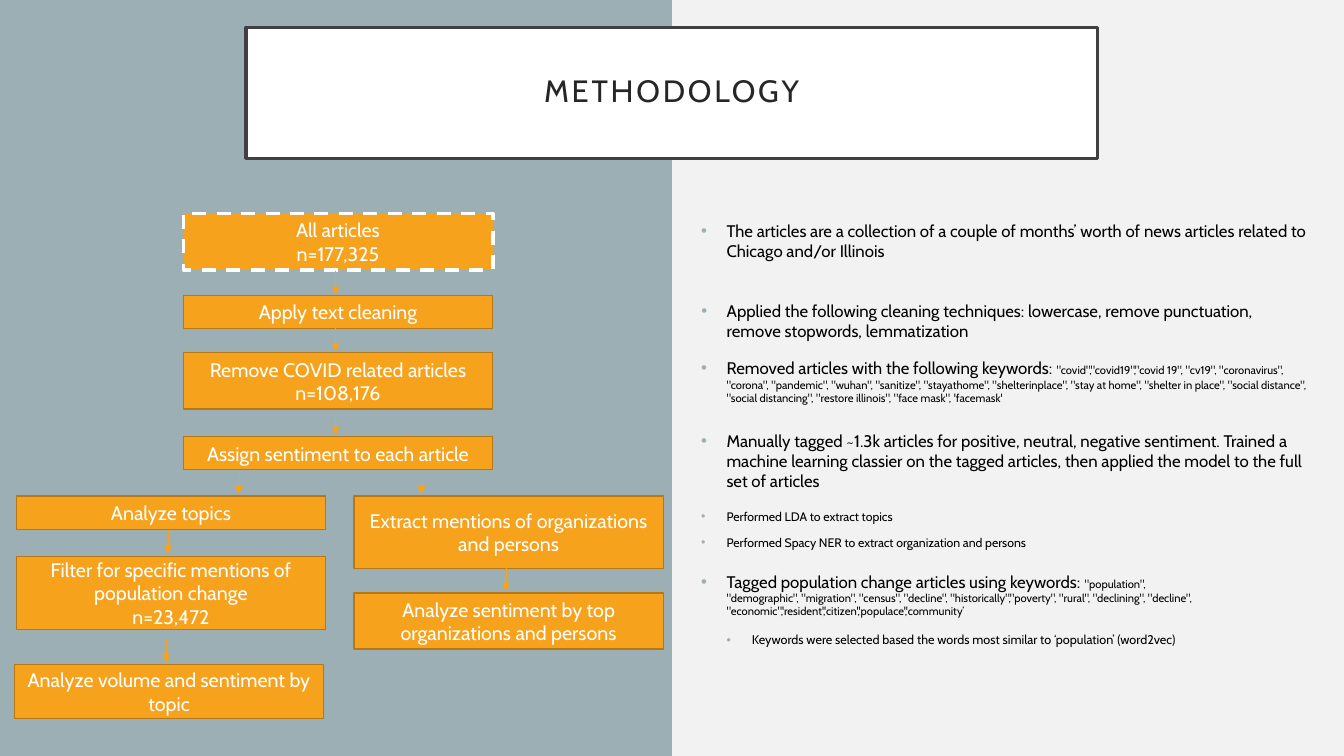
"""Build the methodology slide: a flowchart of the article analysis beside its notes."""
from lxml import etree
from pptx import Presentation
from pptx.dml.color import RGBColor
from pptx.enum.dml import MSO_LINE
from pptx.enum.shapes import MSO_CONNECTOR, MSO_SHAPE
from pptx.enum.text import MSO_ANCHOR, MSO_AUTO_SIZE, PP_ALIGN
from pptx.oxml.ns import qn
from pptx.util import Cm, Pt

RECTANGLE = MSO_SHAPE.RECTANGLE
STRAIGHT = MSO_CONNECTOR.STRAIGHT
DASH = MSO_LINE.DASH
MIDDLE, TOP = MSO_ANCHOR.MIDDLE, MSO_ANCHOR.TOP
NO_AUTOFIT = MSO_AUTO_SIZE.NONE
CENTER, LEFT = PP_ALIGN.CENTER, PP_ALIGN.LEFT

SLIDE_WIDTH, SLIDE_HEIGHT = 33.87, 19.05
STEP_WIDTH = 7.8
ARROW_LENGTH = 0.6
NOTES_LEFT = 17.42
BULLET_INDENT = 0.64
WIDE, NARROW = 15.82, 13.39
MAIN, TOPICS, ENTITIES = 4.62, 0.41, 8.92

STEPS = [
    (MAIN, 5.38, 1.42, ["All articles", "n=177,325"]),
    (MAIN, 7.44, 0.84, ["Apply text cleaning"]),
    (MAIN, 8.89, 1.42, ["Remove COVID related articles", "n=108,176"]),
    (MAIN, 11, 0.84, ["Assign sentiment to each article"]),
    (TOPICS, 12.5, 0.84, ["Analyze topics"]),
    (ENTITIES, 12.5, 1.83, ["Extract mentions of organizations and persons"]),
    (TOPICS, 14.02, 1.85, ["Filter for specific mentions of population change", "n=23,472"]),
    (ENTITIES, 14.94, 1.42, ["Analyze sentiment by top organizations and persons"]),
    (0.36, 16.74, 1.37, ["Analyze volume and sentiment by topic"]),
]

ARROWS = [
    (8.46, 6.83), (8.46, 8.25), (8.46, 10.36), (6.02, 11.86),
    (10.62, 11.86), (4.24, 13.36), (12.75, 14.3), (4.19, 16.1),
]

CLEANING = [(0, [("Applied the following cleaning techniques: lowercase, remove punctuation, "
                  "remove stopwords, lemmatization", 12)])]

COVID_KEYWORDS = (
    '"covid","covid19","covid 19", "cv19", "coronavirus", "corona", "pandemic", "wuhan", '
    '"sanitize", "stayathome", "shelterinplace", "stay at home", "shelter in place", '
    '"social distance", "social distancing", "restore illinois", "face mask", \'facemask\''
)
POPULATION_KEYWORDS = (
    '"population", "demographic", "migration", "census", "decline", "historically","poverty", '
    '"rural", "declining", "decline", "economic",\'resident\',\'citizen\',\'populace\',\'community’'
)

NOTES = [
    (5.44, WIDE, 0.84, 1, [
        (0, [("The articles are a collection of a couple of months’ worth of news articles "
              "related to Chicago and/or Illinois", 12)])]),
    (8.89, WIDE, 1.42, 1, [
        (0, [("Removed articles with the following keywords: ", 12), (COVID_KEYWORDS, 8)])]),
    (10.72, WIDE, 1.42, 1, [
        (0, [("Manually tagged ~1.3k articles for positive, neutral, negative sentiment. Trained "
              "a machine learning classier on the tagged articles, then applied the model to the "
              "full set of articles", 12)])]),
    (12.78, NARROW, 1.24, 0.8, [
        (0, [("Performed LDA to extract topics", 8.8)]),
        (0, [("Performed Spacy NER to extract organization and persons", 8.8)])]),
    (14.27, NARROW, 2.72, 1, [
        (0, [("Tagged population change articles using keywords: ", 12),
             (POPULATION_KEYWORDS, 8)]),
        (1, [("Keywords were selected based the words most similar to ‘population’ (word2vec)",
              9)])]),
]


def color(hex_code):
    return RGBColor.from_string(hex_code)


class MethodologySlide:
    """Holds the slide and its style, and draws each kind of element."""

    font = "Cabin"
    accent, accent_edge = "F6A21D", "B67815"
    panel_fill, background = "9BAFB5", "F2F2F2"
    white, black = "FFFFFF", "000000"
    title_edge, title_text = "404040", "262626"

    def __init__(self, presentation):
        self.slide = presentation.slides.add_slide(presentation.slide_layouts[1])
        self.shapes = self.slide.shapes
        self.paint(self.slide.background, self.background)

    def paint(self, target, fill, edge=None, width=1):
        target.fill.solid()
        target.fill.fore_color.rgb = color(fill)
        if edge:
            target.line.color.rgb = color(edge)
            target.line.width = Pt(width)

    def place(self, shape, left, top, width, height):
        shape.left, shape.top = Cm(left), Cm(top)
        shape.width, shape.height = Cm(width), Cm(height)

    def add_text(self, paragraph, text, size, text_color):
        run = paragraph.add_run()
        run.text = text
        run.font.size = Pt(size)
        run.font.name = self.font
        run.font.color.rgb = color(text_color)
        return run

    def rectangle(self, left, top, width, height):
        shape = self.shapes.add_shape(RECTANGLE, Cm(left), Cm(top), Cm(width), Cm(height))
        shape.shadow.inherit = False
        return shape

    def panel(self):
        panel = self.rectangle(0, 0, SLIDE_WIDTH / 2, SLIDE_HEIGHT)
        self.paint(panel, self.panel_fill)
        panel.line.fill.background()
        self.shapes._spTree.insert(2, panel._element)

    def title(self, text):
        title = self.shapes.title
        self.place(title, 6.2, 0.69, 21.46, 3.3)
        self.paint(title, self.white, self.title_edge, 2.5)
        frame = title.text_frame
        frame.auto_size = NO_AUTOFIT
        frame.vertical_anchor = MIDDLE
        frame.margin_left = frame.margin_right = Cm(0.51)
        frame.margin_top = frame.margin_bottom = Cm(0.51)
        heading = frame.paragraphs[0]
        heading.alignment = CENTER
        heading.line_spacing = 0.9
        run = self.add_text(heading, text, 22, self.title_text)
        run.font._element.set("spc", "200")

    def step(self, left, top, height, lines, is_source):
        step = self.rectangle(left, top, STEP_WIDTH, height)
        if is_source:
            self.paint(step, self.accent, self.white, 2.5)
            step.line.dash_style = DASH
        else:
            self.paint(step, self.accent, self.accent_edge)
        frame = step.text_frame
        frame.word_wrap = True
        frame.vertical_anchor = MIDDLE
        for index, line in enumerate(lines):
            paragraph = frame.add_paragraph() if index else frame.paragraphs[0]
            paragraph.alignment = CENTER
            self.add_text(paragraph, line, 14, self.white)

    def arrow(self, x, top):
        arrow = self.shapes.add_connector(STRAIGHT, Cm(x), Cm(top), Cm(x), Cm(top + ARROW_LENGTH))
        arrow.line.color.rgb = color(self.accent)
        arrow.line.width = Pt(0.5)
        etree.SubElement(arrow.line._get_or_add_ln(), qn("a:tailEnd"), type="triangle")
        etree.SubElement(arrow._element.spPr, qn("a:effectLst"))

    def bullet(self, paragraph, level):
        paragraph.level = level
        properties = paragraph._p.get_or_add_pPr()
        properties.set("marL", str(Cm(BULLET_INDENT * (level + 1))))
        properties.set("indent", str(-Cm(BULLET_INDENT)))
        bullet_color = etree.SubElement(properties, qn("a:buClr"))
        etree.SubElement(bullet_color, qn("a:srgbClr"), val=self.panel_fill)
        etree.SubElement(properties, qn("a:buFont"), typeface="Arial")
        etree.SubElement(properties, qn("a:buChar"), char="•")

    def fill_list(self, frame, items, spacing=1):
        frame.word_wrap = True
        frame.auto_size = NO_AUTOFIT
        frame.vertical_anchor = TOP
        for index, (level, runs) in enumerate(items):
            paragraph = frame.add_paragraph() if index else frame.paragraphs[0]
            self.bullet(paragraph, level)
            paragraph.alignment = LEFT
            paragraph.line_spacing = spacing
            paragraph.space_before = Pt(10 if index else 0)
            for text, size in runs:
                self.add_text(paragraph, text, size, self.black)

    def body(self, items):
        body = self.slide.placeholders[1]
        self.place(body, NOTES_LEFT, 7.44, WIDE, 0.84)
        self.fill_list(body.text_frame, items)

    def note(self, top, width, height, spacing, items):
        note = self.shapes.add_textbox(Cm(NOTES_LEFT), Cm(top), Cm(width), Cm(height))
        self.fill_list(note.text_frame, items, spacing)


def main():
    presentation = Presentation()
    presentation.slide_width, presentation.slide_height = Cm(SLIDE_WIDTH), Cm(SLIDE_HEIGHT)
    methodology = MethodologySlide(presentation)
    methodology.panel()
    methodology.title("METHODOLOGY")
    methodology.body(CLEANING)
    for index, step in enumerate(STEPS):
        methodology.step(*step, is_source=index == 0)
    for arrow in ARROWS:
        methodology.arrow(*arrow)
    for note in NOTES:
        methodology.note(*note)
    presentation.save("out.pptx")


if __name__ == "__main__":
    main()
